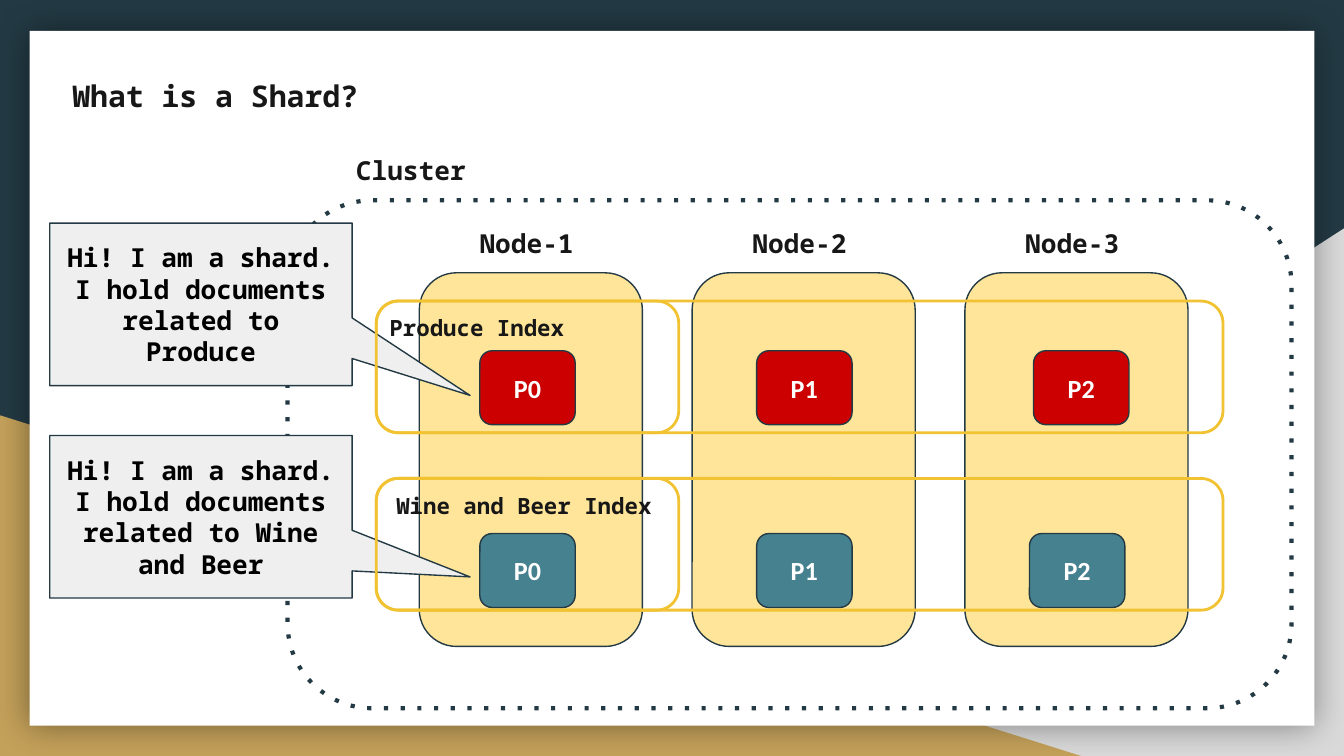
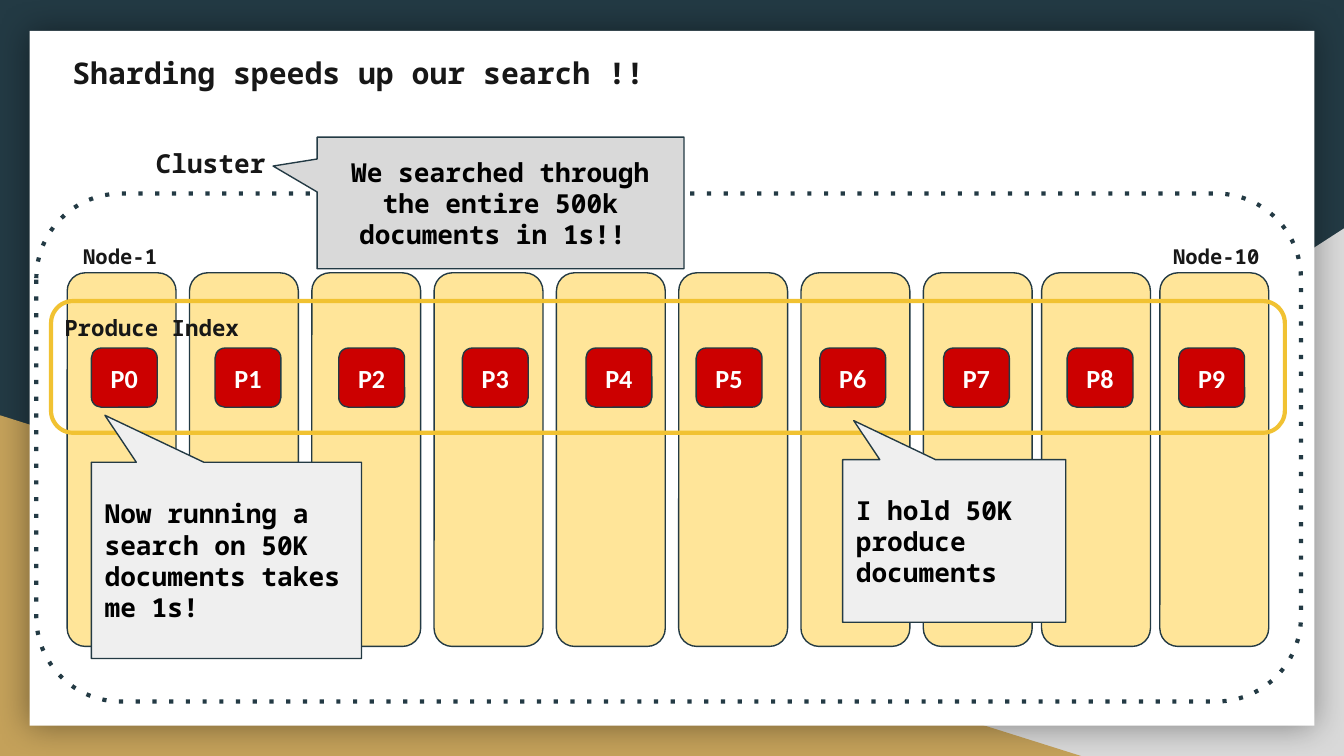
"""Build two slides on shards and the speed of a split search."""
import lxml.etree
import pptx
import pptx.dml.color
import pptx.enum.dml
import pptx.enum.shapes
import pptx.enum.text
import pptx.oxml.ns
import pptx.util

RGB = pptx.dml.color.RGBColor
KIND = pptx.enum.shapes.MSO_SHAPE
ALIGN = pptx.enum.text.PP_ALIGN
ANCHOR = pptx.enum.text.MSO_ANCHOR
qn = pptx.oxml.ns.qn

NAVY = RGB(0x23, 0x3A, 0x44)
SAND = RGB(0xC4, 0xA1, 0x5A)
GREY = RGB(0xD9, 0xD9, 0xD9)
PALE = RGB(0xEF, 0xEF, 0xEF)
WHITE = RGB(0xFF, 0xFF, 0xFF)
BLACK = RGB(0, 0, 0)
INK = RGB(0x17, 0x17, 0x17)
CREAM = RGB(0xFF, 0xE5, 0x99)
GOLD = RGB(0xF1, 0xC2, 0x32)
RED = RGB(0xCC, 0, 0)
TEAL = RGB(0x45, 0x81, 0x8E)
MONO = "Noto Sans Mono"

SHARD_TITLE = ("What is a Shard?", (0.44, 0.48, 3.03, 0.47))
NODES = ["Node-1", "Node-2", "Node-3"]
GROUPS = [
    dict(name="Produce Index", spot=(2.8, 2.24, 1.73, 0.4), top=2.24,
         color=RED, row=2.61, lefts=[3.57, 5.63, 7.69], tip=(0.89, 0.56),
         note="Hi! I am a shard. I hold documents related to Produce",
         box=(0.37, 1.66, 2.25, 1.21)),
    dict(name="Wine and Beer Index", spot=(2.85, 3.56, 2.15, 0.44), top=3.56,
         color=TEAL, row=3.97, lefts=[3.57, 5.63, 7.66], tip=(0.89, 0.37),
         note="Hi! I am a shard. I hold documents related to Wine and Beer",
         box=(0.37, 3.24, 2.25, 1.21)),
]

SPEED_TITLE = ("Sharding speeds up our search !!", (0.44, 0.31, 9, 0.47))
LABELS = [
    ("Node-1", (0.52, 1.72, 0.81, 0.39), 11),
    ("Node-10", (8.63, 1.72, 0.87, 0.39), 11),
    ("Cluster", (1.06, 1, 1.42, 0.44), 14),
    ("Produce Index", (0.38, 2.24, 1.89, 0.4), 12),
]
NOTES = [
    ("I hold 50K produce documents", (6.27, 3.42, 1.66, 1.21)),
    ("Now running a search on 50K documents takes me 1s!",
     (0.68, 3.44, 2.01, 1.46)),
]
CLAIM = ("We searched through the entire 500k documents in 1s!! ",
         (2.36, 1.02, 2.73, 0.98))


def place(box):
    return [pptx.util.Inches(n) for n in box]


def write(shape, text, size, color, face=MONO, align=ALIGN.LEFT,
          anchor=ANCHOR.TOP):
    frame = shape.text_frame
    inset = pptx.util.Inches(0.1)
    form = dict(word_wrap=True, vertical_anchor=anchor, margin_left=inset,
                margin_right=inset, margin_top=inset, margin_bottom=inset)
    for key, val in form.items():
        setattr(frame, key, val)
    para = frame.paragraphs[0]
    para.alignment = align
    run = para.add_run()
    run.text = text
    for key, val in dict(name=face, size=pptx.util.Pt(size), bold=True).items():
        setattr(run.font, key, val)
    run.font.color.rgb = color


def label(slide, text, box, size=14):
    write(slide.shapes.add_textbox(*place(box)), text, size, INK)


def draw(slide, kind, box, fill=None, line=None, width=0.75):
    shape = slide.shapes.add_shape(kind, *place(box))
    shape.shadow.inherit = False
    for part, color in ((shape.fill, fill), (shape.line.fill, line)):
        if color is None:
            part.background()
        else:
            part.solid()
            part.fore_color.rgb = color
    if line is not None:
        shape.line.width = pptx.util.Pt(width)
    return shape


def node(slide, left, width):
    draw(slide, KIND.ROUNDED_RECTANGLE, (left, 2.03, width, 2.78), CREAM, NAVY)


def shard(slide, num, box, color):
    shape = draw(slide, KIND.ROUNDED_RECTANGLE, box, color, NAVY)
    write(shape, f"P{num}", 14, WHITE, "Calibri", ALIGN.CENTER, ANCHOR.MIDDLE)


def index(slide, box, width=1.5):
    draw(slide, KIND.ROUNDED_RECTANGLE, box, None, GOLD, width)


def cluster(slide, box):
    shape = draw(slide, KIND.ROUNDED_RECTANGLE, box, None, NAVY, 2.25)
    shape.line.dash_style = pptx.enum.dml.MSO_LINE.ROUND_DOT
    next(shape.element.iter(qn("a:prstDash"))).set("val", "dot")


def note(slide, text, box, tip, align=ALIGN.LEFT, fill=PALE,
         kind=KIND.RECTANGULAR_CALLOUT):
    shape = draw(slide, kind, box, fill, NAVY)
    for spot, val in enumerate(tip):
        shape.adjustments[spot] = val
    write(shape, text, 14, BLACK, MONO, align, ANCHOR.MIDDLE)


def start(deck):
    slide = deck.slides.add_slide(deck.slide_layouts[6])
    back = slide.background.fill
    back.solid()
    back.fore_color.rgb = NAVY
    right = draw(slide, KIND.RIGHT_TRIANGLE, (3.92, 1.7, 6.08, 3.93), GREY)
    right.element.spPr.find(qn("a:xfrm")).set("flipH", "1")
    draw(slide, KIND.RIGHT_TRIANGLE, (0, 3.09, 8.06, 2.54), SAND)
    panel = draw(slide, KIND.RECTANGLE, (0.22, 0.23, 9.56, 5.17), WHITE)
    glow = lxml.etree.SubElement(
        panel.element.spPr.find(qn("a:effectLst")), qn("a:outerShdw"),
        blurRad=str(pptx.util.Pt(18)), dist="0", dir="0", algn="ctr",
        rotWithShape="0")
    tint = lxml.etree.SubElement(glow, qn("a:srgbClr"), val=str(BLACK))
    lxml.etree.SubElement(tint, qn("a:alpha"), val="40000")
    return slide


def shard_slide(deck):
    slide = start(deck)
    lefts = [3.12 + 2.03 * n for n in range(len(NODES))]
    for left in lefts:
        node(slide, left, 1.66)
    cluster(slide, (2.14, 1.49, 7.47, 3.78))
    for left, name in zip(lefts, NODES):
        label(slide, name, (left + 0.35, 1.59, 0.97, 0.44))
    label(slide, "Cluster", (2.55, 1.05, 1.42, 0.44))
    label(slide, *SHARD_TITLE, 16)
    for group in GROUPS:
        index(slide, (2.8, group["top"], 2.25, 0.98))
        label(slide, group["name"], group["spot"], 12)
        note(slide, group["note"], group["box"], group["tip"], ALIGN.CENTER)
        index(slide, (2.8, group["top"], 6.3, 0.98))
        for num, left in enumerate(group["lefts"]):
            shard(slide, num, (left, group["row"], 0.71, 0.55), group["color"])


def speed_slide(deck):
    slide = start(deck)
    cluster(slide, (0.27, 1.44, 9.41, 3.78))
    for left in [0.5 + 0.91 * n for n in range(8)] + [7.75, 8.63]:
        node(slide, left, 0.81)
    label(slide, *SPEED_TITLE, 16)
    for text, box, size in LABELS:
        label(slide, text, box, size)
    lefts = [0.68 + 0.92 * n for n in range(5)]
    lefts += [5.18 + 0.92 * n for n in range(4)] + [8.77]
    for num, left in enumerate(lefts):
        shard(slide, num, (left, 2.59, 0.49, 0.44), RED)
    index(slide, (0.38, 2.24, 9.18, 0.98), 2.25)
    for text, box in NOTES:
        note(slide, text, box, (-0.45, -0.74))
    note(slide, *CLAIM, (-0.62, -0.28, 0), ALIGN.CENTER, GREY,
         KIND.ROUNDED_RECTANGULAR_CALLOUT)


def main():
    deck = pptx.Presentation()
    deck.slide_width = pptx.util.Inches(10)
    deck.slide_height = deck.slide_width * 9 // 16
    shard_slide(deck)
    speed_slide(deck)
    deck.save("out.pptx")


if __name__ == "__main__":
    main()
